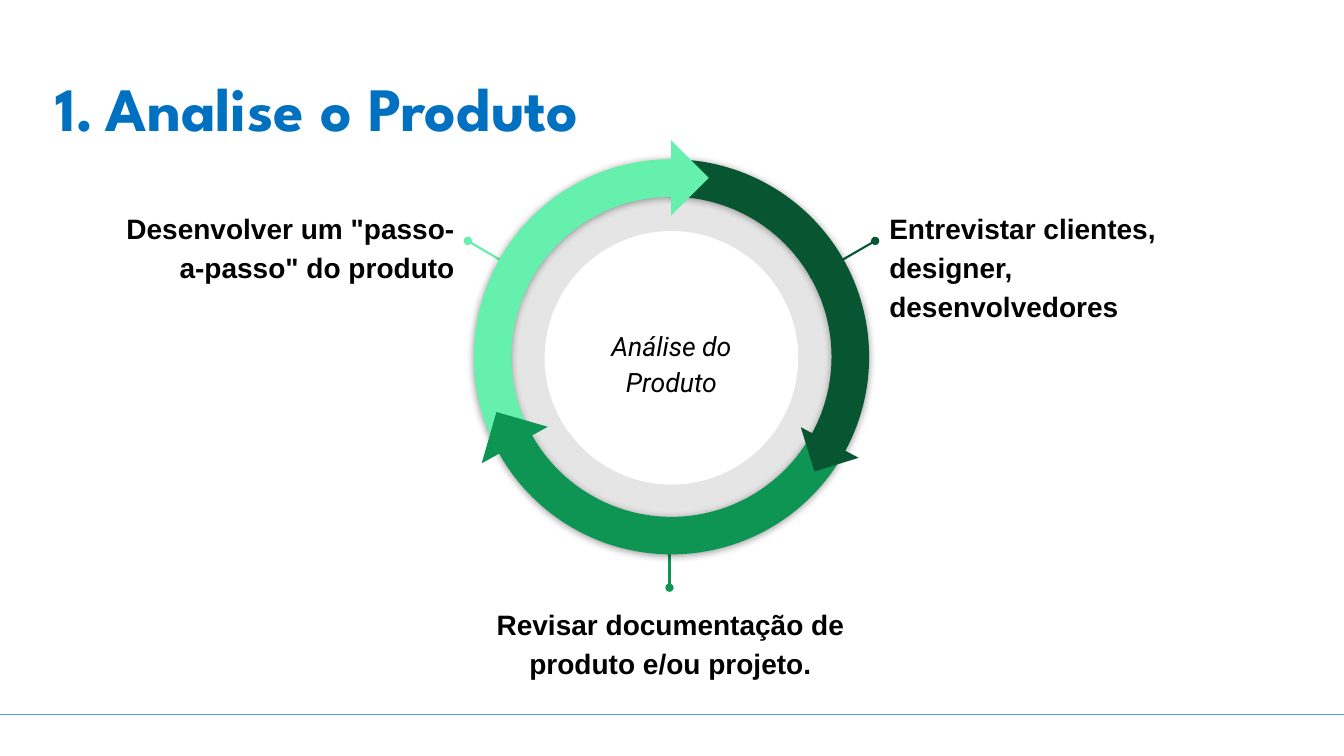
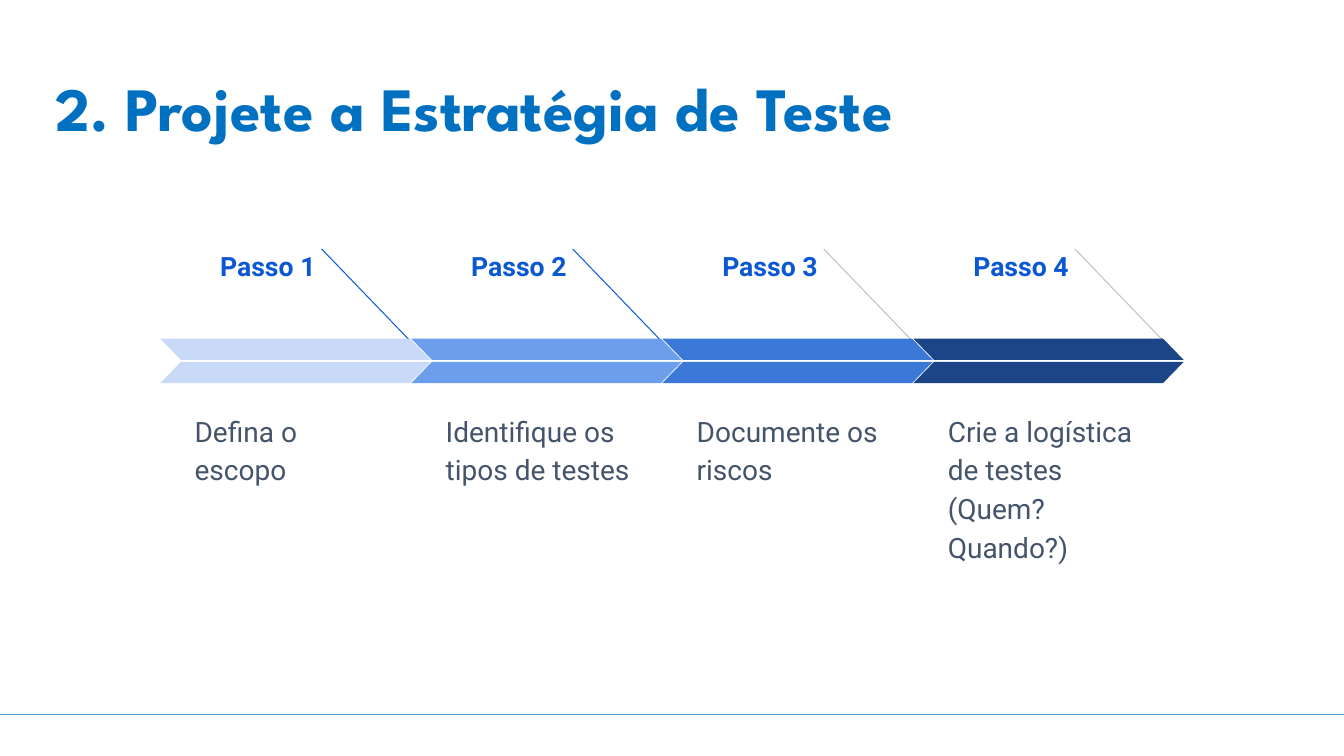
"""Build two slides on test planning: a product cycle and a strategy path."""
from dataclasses import dataclass
from typing import NamedTuple

from lxml.etree import SubElement as Sub
from pptx import Presentation
from pptx.dml.color import RGBColor as Rgb
from pptx.enum.shapes import MSO_CONNECTOR as Link, MSO_SHAPE as Form
from pptx.enum.text import MSO_ANCHOR as Anchor, MSO_AUTO_SIZE as Fit, PP_ALIGN as Align
from pptx.oxml.ns import qn
from pptx.slide import Slide
from pptx.util import Emu, Pt

SCALE = 9144


class Style(NamedTuple):
    font: str
    size: int
    tint: str
    bold: bool = False
    slant: bool = False


@dataclass(frozen=True)
class Theme:
    rule: str = "5B9BD5"
    blue: str = "0070C0"
    black: str = "000000"
    dark: str = "085631"
    mid: str = "0E9453"
    light: str = "65F0AD"
    line: str = "0D5DDF"
    gray: str = "C2C2C2"
    title: Style = Style("League Spartan", 44, "0070C0", bold=True)
    note: Style = Style("Arial", 20, "000000", bold=True)
    core: Style = Style("Roboto", 19, "000000", slant=True)
    step: Style = Style("Roboto", 19, "0C58D3", bold=True)
    task: Style = Style("Roboto", 20, "44546A")


THEME = Theme()


class Box(NamedTuple):
    left: int
    top: int
    width: int
    height: int


class Note(NamedTuple):
    text: str
    box: Box
    align: Align
    start: tuple[int, int]
    end: tuple[int, int]
    tint: str


class Arc(NamedTuple):
    start: int
    end: int
    tint: str


class Tip(NamedTuple):
    box: Box
    turn: float
    tint: str


class Step(NamedTuple):
    task: str
    tint: str
    line: str


WIDE, HIGH = 1333, 750
HEAD = Box(45, 65, 1242, 91)
RING = Box(470, 158, 392, 392)
NOTES = (
    Note('Desenvolver um "passo-a-passo" do produto', Box(107, 192, 357, 98),
         Align.RIGHT, (464, 239), (527, 276), THEME.light),
    Note("Entrevistar clientes, designer, desenvolvedores", Box(869, 192, 355, 98),
         Align.LEFT, (868, 239), (804, 276), THEME.dark),
    Note("Revisar documentação de produto e/ou projeto.", Box(442, 585, 446, 98),
         Align.CENTER, (664, 583), (664, 515), THEME.mid),
)
CYCLE = (
    Arc(270, 30, THEME.dark),
    Arc(152, 271, THEME.light),
    Tip(Box(639, 150, 53, 53), 225, THEME.light),
    Arc(32, 151, THEME.mid),
    Tip(Box(800, 416, 46, 46), 342.9, THEME.dark),
    Tip(Box(484, 415, 53, 53), 106, THEME.mid),
)
STEPS = (
    Step("Defina o escopo", "C9DAF8", THEME.line),
    Step("Identifique os tipos de testes", "6D9EEB", THEME.line),
    Step("Documente os riscos", "3C78D8", THEME.gray),
    Step("Crie a logística de testes (Quem? Quando?)", "1C4587", THEME.gray),
)
PITCH = 249


def px(size: int) -> Emu:
    """Turn px into EMU."""
    return Emu(size * SCALE)


def place(box: Box) -> tuple[Emu, ...]:
    """Turn a box into EMU lengths."""
    return tuple(px(size) for size in box)


def write(para, text: str, style: Style) -> None:
    """Add one styled run."""
    run = para.add_run()
    run.text = text
    font = run.font
    font.name, font.size = style.font, Pt(style.size)
    font.bold, font.italic = style.bold, style.slant
    font.color.rgb = Rgb.from_string(style.tint)


def label(slide: Slide, box: Box, text: str, style: Style, align: Align = Align.LEFT,
          anchor: Anchor = Anchor.TOP, after: int = 0) -> None:
    """Add a wrapped text box."""
    frame = slide.shapes.add_textbox(*place(box)).text_frame
    frame.word_wrap, frame.auto_size = True, Fit.NONE
    frame.vertical_anchor = anchor
    frame.margin_left = frame.margin_right = px(13)
    frame.margin_top = frame.margin_bottom = px(13)
    para = frame.paragraphs[0]
    para.alignment, para.line_spacing = align, 1.15
    para.space_after = Pt(after)
    write(para, text, style)


def link(slide: Slide, start: tuple[int, int], end: tuple[int, int], tint: str,
         width: float = 0.75, dot: bool = False):
    """Add a straight line, with a dot at its start if asked."""
    line = slide.shapes.add_connector(Link.STRAIGHT, *place((*start, *end)))
    line.line.color.rgb = Rgb.from_string(tint)
    line.line.width = Pt(width)
    props = line.element.spPr
    if dot:
        Sub(props.find(qn("a:ln")), qn("a:headEnd"), type="oval")
    Sub(props, qn("a:effectLst"))
    return line


def draw(slide: Slide, form: Form, box: Box, tint: str, *knobs: float):
    """Add a flat shape with its adjustments."""
    shape = slide.shapes.add_shape(form, *place(box))
    shape.shadow.inherit = False
    shape.fill.solid()
    shape.fill.fore_color.rgb = Rgb.from_string(tint)
    shape.line.fill.background()
    for spot, knob in enumerate(knobs):
        shape.adjustments[spot] = knob
    return shape


def shade(shape) -> None:
    """Give a shape a soft drop shadow."""
    glow = Sub(shape.element.spPr.find(qn("a:effectLst")), qn("a:outerShdw"),
               blurRad=str(Pt(5.6)), dist=str(Pt(0.8)), dir="5400000",
               algn="bl", rotWithShape="0")
    tint = Sub(glow, qn("a:srgbClr"), val=THEME.black)
    Sub(tint, qn("a:alpha"), val="40000")


def head(slide: Slide, text: str, count: bool = False) -> None:
    """Fill the title, numbered if asked."""
    frame = slide.shapes.title.text_frame
    frame.vertical_anchor = Anchor.MIDDLE
    para = frame.paragraphs[0]
    para.alignment, para.line_spacing = Align.LEFT, 0.9
    if count:
        props = para._p.get_or_add_pPr()
        props.set("marL", str(px(50)))
        props.set("indent", str(px(-50)))
        Sub(Sub(props, qn("a:buClr")), qn("a:srgbClr"), val=THEME.blue)
        Sub(props, qn("a:buFont"), typeface=THEME.title.font)
        Sub(props, qn("a:buAutoNum"), type="arabicPeriod")
    write(para, text, THEME.title)


def cycle(slide: Slide) -> None:
    """Draw the product cycle."""
    head(slide, "Analise o Produto", count=True)
    disc = draw(slide, Form.DONUT, Box(481, 170, 370, 370), THEME.black, 0.16)
    Sub(disc.element.spPr.find(".//" + qn("a:srgbClr")), qn("a:alpha"), val="10000")
    for note in NOTES:
        link(slide, note.start, note.end, note.tint, 1.5, dot=True)
        label(slide, note.box, note.text, THEME.note, note.align)
    label(slide, Box(561, 300, 210, 117), "Análise do Produto", THEME.core,
          Align.CENTER, Anchor.MIDDLE)
    for part in CYCLE:
        if isinstance(part, Arc):
            shade(draw(slide, Form.BLOCK_ARC, RING, part.tint,
                       part.start * 0.6, part.end * 0.6, 0.095))
        else:
            draw(slide, Form.RIGHT_TRIANGLE, part.box, part.tint).rotation = part.turn


def path_row(slide: Slide) -> None:
    """Draw the row of strategy steps."""
    head(slide, "2. Projete a Estratégia de Teste")
    for spot, step in enumerate(STEPS):
        left = 159 + spot * PITCH
        label(slide, Box(left, 230, 167, 35), f"Passo {spot + 1}", THEME.step,
              Align.RIGHT, after=21)
        label(slide, Box(left + 21, 393, 225, 189), step.task, THEME.task, after=21)
        link(slide, (left + 160, 247), (left + 264, 355), step.line)
        for top, flip in ((336, "1"), (359, "0")):
            half = draw(slide, Form.PARALLELOGRAM, Box(left, top, 268, 21), step.tint, 0.97)
            half.element.spPr.find(qn("a:xfrm")).set("flipH", flip)


def main() -> None:
    """Build and save the deck."""
    deck = Presentation()
    deck.slide_width, deck.slide_height = px(WIDE), px(HIGH)
    plan = deck.slide_layouts[5]
    for hold in plan.placeholders:
        if hold.placeholder_format.idx == 0:
            hold.left, hold.top, hold.width, hold.height = place(HEAD)
    first, second = (deck.slides.add_slide(plan) for _ in range(2))
    rule = link(first, (0, 709), (WIDE, 709), THEME.rule)
    plan.shapes.element.append(rule.element)
    cycle(first)
    path_row(second)
    deck.save("out.pptx")


if __name__ == "__main__":
    main()
